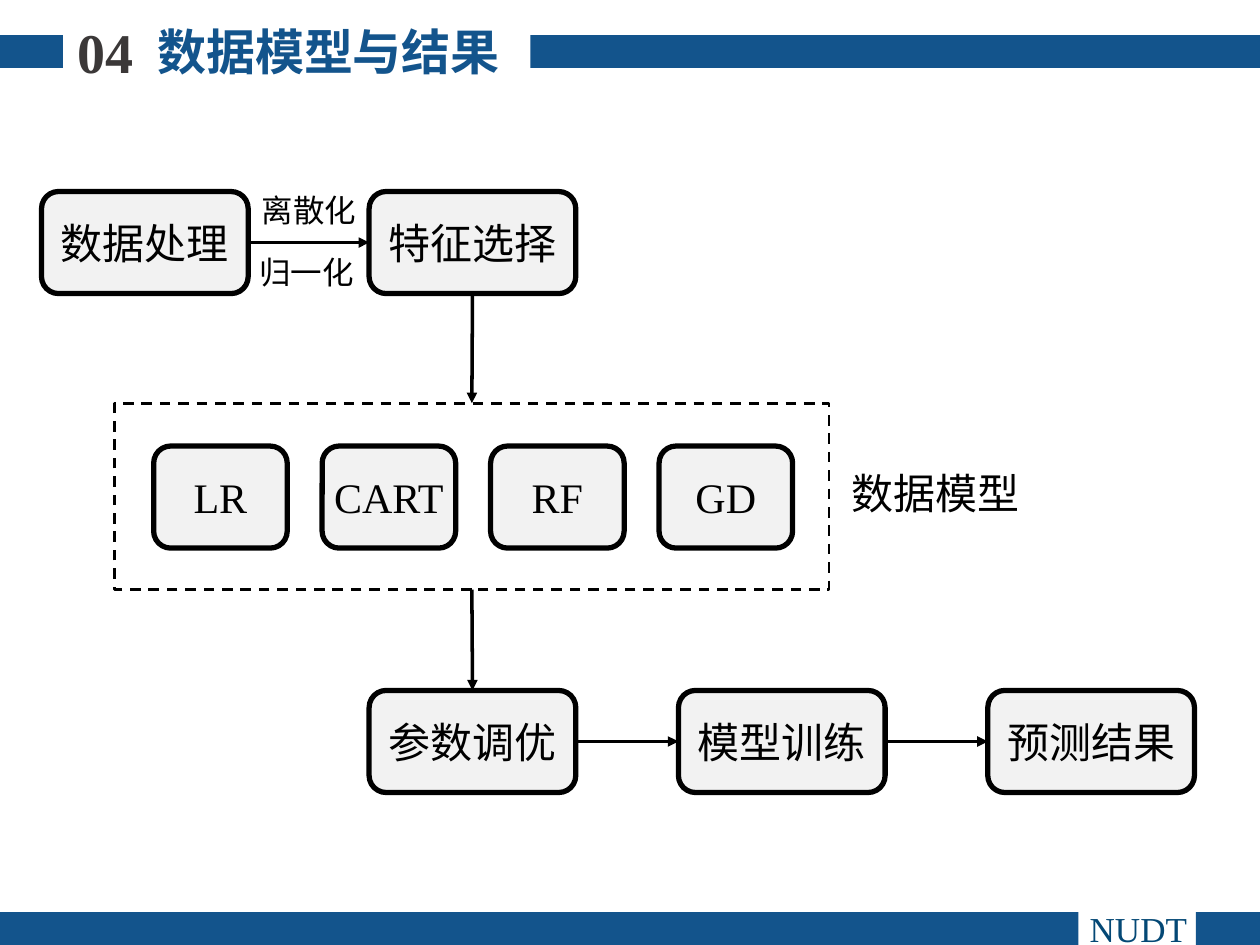
"""Build a slide showing a data-model workflow as a flow chart."""
import pptx
import pptx.util
import pptx.dml.color
import pptx.enum.dml
import pptx.enum.shapes
import pptx.enum.text
import lxml.etree

Inches = pptx.util.Inches
SHAPE = pptx.enum.shapes.MSO_SHAPE
ALIGN = pptx.enum.text.PP_ALIGN
TOP, LEFT, BOTTOM, RIGHT = range(4)

FONT = "Times New Roman"
BLUE, BLACK, GREY = "13548C", "000000", "F2F2F2"
STEP_WIDTH, MODEL_WIDTH, NODE_HEIGHT = 1.64, 1.06, 0.81
MODEL_LEFT, MODEL_TOP, MODEL_PITCH = 1.22, 3.54, 1.337

STEPS = [
    ("数据处理", 0.33, 1.52),
    ("特征选择", 2.93, 1.52),
    ("参数调优", 2.93, 5.48),
    ("模型训练", 5.385, 5.48),
    ("预测结果", 7.84, 5.48),
]
MODELS = ["LR", "CART", "RF", "GD"]
FRAME = (0.91, 3.2, 5.67, 1.48)
ARROWS = [
    ("数据处理", RIGHT, "特征选择", LEFT),
    ("特征选择", BOTTOM, "frame", TOP),
    ("frame", BOTTOM, "参数调优", TOP),
    ("参数调优", RIGHT, "模型训练", LEFT),
    ("模型训练", RIGHT, "预测结果", LEFT),
]
BARS = [
    (0, 0.28, 0.5, 0.26),
    (4.21, 0.28, 5.79, 0.26),
    (9.49, 7.24, 0.51, 0.26),
    (0, 7.24, 8.56, 0.26),
]
LABELS = [
    ("离散化", (1.98, 1.47, 1.01, 0.4), 18, BLACK, False, ALIGN.LEFT),
    ("归一化", (1.96, 1.96, 1.01, 0.4), 18, BLACK, False, ALIGN.LEFT),
    ("数据模型", (6.66, 3.66, 1.66, 0.5), 24, BLACK, False, ALIGN.LEFT),
    ("NUDT", (8.42, 7.15, 1.23, 0.44), 20, "044875", False, ALIGN.CENTER),
    ("数据模型与结果", (1.15, 0.12, 3.16, 0.57), 28, BLUE, True, ALIGN.LEFT),
    ("04", (0.45, 0.09, 0.77, 0.64), 32, "3B3838", True, ALIGN.CENTER),
]


def color(value):
    return pptx.dml.color.RGBColor.from_string(value)


def write(box, text, size, ink, bold=False, align=ALIGN.CENTER):
    para = box.text_frame.paragraphs[0]
    para.alignment = align
    span = para.add_run()
    span.text = text
    span.font.name = FONT
    span.font.size = pptx.util.Pt(size)
    span.font.bold = bold
    span.font.color.rgb = color(ink)


def add_box(page, kind, place, fill=None, line_width=None):
    box = page.shapes.add_shape(kind, *map(Inches, place))
    box.shadow.inherit = False
    if fill:
        box.fill.solid()
        box.fill.fore_color.rgb = color(fill)
    else:
        box.fill.background()
    if line_width:
        box.line.color.rgb = color(BLACK)
        box.line.width = pptx.util.Pt(line_width)
    else:
        box.line.fill.background()
    return box


def add_node(page, text, left, top, width, wrap):
    place = (left, top, width, NODE_HEIGHT)
    box = add_box(page, SHAPE.ROUNDED_RECTANGLE, place, GREY, 3)
    box.text_frame.word_wrap = wrap
    box.text_frame.vertical_anchor = pptx.enum.text.MSO_ANCHOR.MIDDLE
    write(box, text, 24, BLACK)
    return box


def add_arrow(page, start, start_side, end, end_side):
    kind = pptx.enum.shapes.MSO_CONNECTOR.STRAIGHT
    arrow = page.shapes.add_connector(kind, 0, 0, 0, 0)
    arrow.begin_connect(start, start_side)
    arrow.end_connect(end, end_side)
    arrow.line.color.rgb = color(BLACK)
    arrow.line.width = pptx.util.Pt(2)
    qn = pptx.oxml.ns.qn
    line = arrow.line._get_or_add_ln()
    lxml.etree.SubElement(line, qn("a:tailEnd"), type="triangle")
    lxml.etree.SubElement(arrow._element.spPr, qn("a:effectLst"))


def add_label(page, text, place, size, ink, bold, align):
    box = page.shapes.add_textbox(*map(Inches, place))
    box.text_frame.word_wrap = size != 18
    write(box, text, size, ink, bold, align)


def main():
    deck = pptx.Presentation()
    deck.slide_width, deck.slide_height = Inches(10), Inches(7.5)
    page = deck.slides.add_slide(deck.slide_layouts[6])

    nodes = {}
    for text, left, top in STEPS:
        nodes[text] = add_node(page, text, left, top, STEP_WIDTH, True)
    for index, text in enumerate(MODELS):
        left = MODEL_LEFT + index * MODEL_PITCH
        add_node(page, text, left, MODEL_TOP, MODEL_WIDTH, False)

    frame = add_box(page, SHAPE.RECTANGLE, FRAME, line_width=1.5)
    frame.line.dash_style = pptx.enum.dml.MSO_LINE.DASH
    nodes["frame"] = frame

    for start, start_side, end, end_side in ARROWS:
        add_arrow(page, nodes[start], start_side, nodes[end], end_side)
    for place in BARS:
        add_box(page, SHAPE.RECTANGLE, place, BLUE)
    for label in LABELS:
        add_label(page, *label)

    deck.save("out.pptx")


if __name__ == "__main__":
    main()
